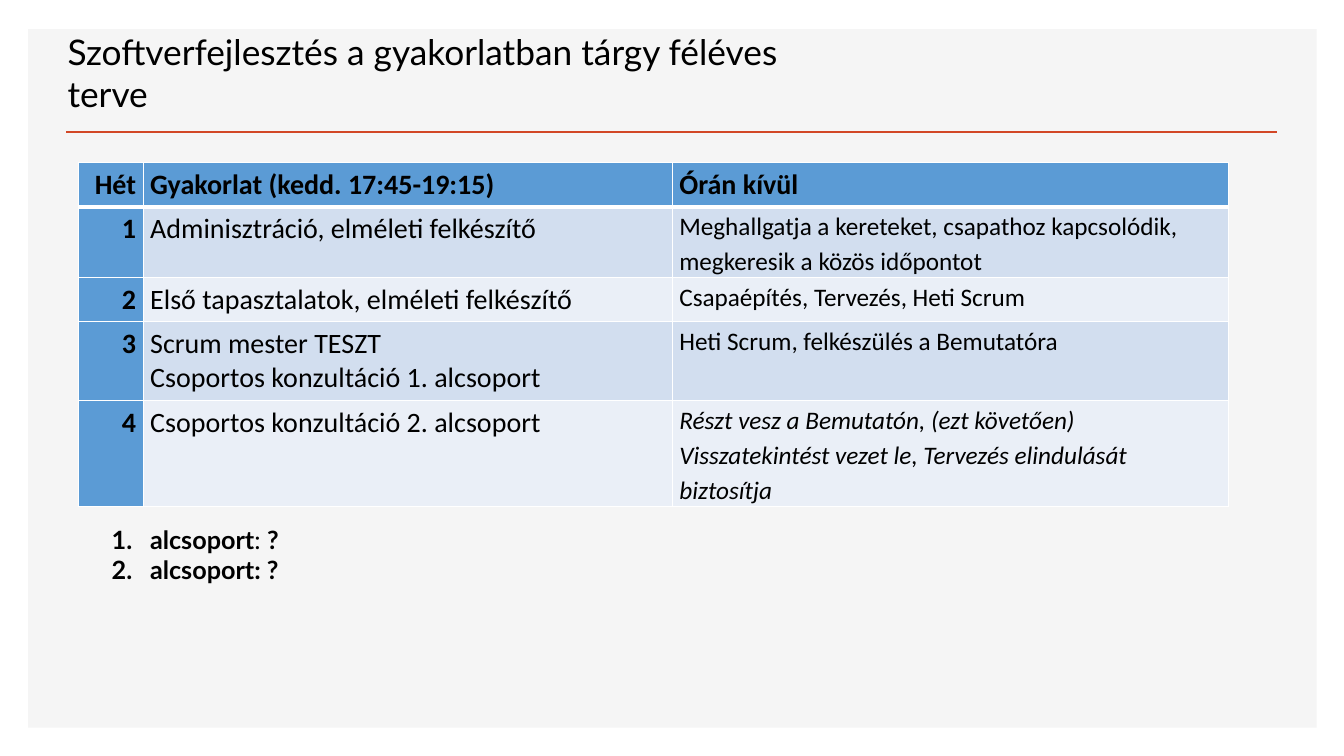
from lxml.etree import SubElement
from pptx import Presentation
from pptx.dml.color import RGBColor
from pptx.enum.shapes import MSO_CONNECTOR as Connector, MSO_SHAPE as Shape
from pptx.enum.text import MSO_ANCHOR as Anchor, MSO_AUTO_SIZE as AutoSize, PP_ALIGN as Align
from pptx.oxml.ns import qn
from pptx.util import Inches, Pt

COLORS = {
    "panel": "F5F5F5", "rule": "D24726", "text": "000000", "border": "FFFFFF",
    "header": "5B9BD5", "odd": "D2DEEF", "even": "EAEFF7",
}
GRID_COLUMNS, GRID_ROWS = 40, 30

SCHEDULE = [
    ("Hét", "Gyakorlat (kedd. 17:45-19:15)", "Órán kívül"),
    ("1", "Adminisztráció, elméleti felkészítő",
     "Meghallgatja a kereteket, csapathoz kapcsolódik, megkeresik a közös időpontot"),
    ("2", "Első tapasztalatok, elméleti felkészítő", "Csapaépítés, Tervezés, Heti Scrum"),
    ("3", "Scrum mester TESZT\nCsoportos konzultáció 1. alcsoport",
     "Heti Scrum, felkészülés a Bemutatóra"),
    ("4", "Csoportos konzultáció 2. alcsoport",
     "Részt vesz a Bemutatón, (ezt követően) Visszatekintést vezet le, "
     "Tervezés elindulását biztosítja"),
]
GROUPS = [[("alcsoport", True), (": ", False), ("?", True)], [("alcsoport: ?", True)]]


def color(name):
    return RGBColor.from_string(COLORS[name])


class SlideBuilder:
    def __init__(self, deck):
        self.deck = deck
        self.page = deck.slides.add_slide(deck.slide_layouts[5])

    def across(self, columns):
        return round(self.deck.slide_width * columns / GRID_COLUMNS)

    def down(self, rows):
        return round(self.deck.slide_height * rows / GRID_ROWS)

    def area(self, left, top, width, height):
        return self.across(left), self.down(top), self.across(width), self.down(height)

    def style(self, span, size, font, bold=False, italic=False):
        span.font.size, span.font.name = Pt(size), font
        span.font.bold, span.font.italic = bold, italic
        span.font.color.rgb = color("text")

    def panel(self, *area):
        box = self.page.shapes.add_shape(Shape.RECTANGLE, *self.area(*area))
        box.shadow.inherit = False
        box.fill.solid()
        box.fill.fore_color.rgb = color("panel")
        box.line.fill.background()

    def rule(self, left, right, top):
        line = self.page.shapes.add_connector(
            Connector.STRAIGHT, self.across(left), self.down(top),
            self.across(right), self.down(top))
        line.line.color.rgb = color("rule")
        line.line.width = Pt(2)
        SubElement(line._element.spPr, qn("a:effectLst"))

    def title(self, text, *area):
        box = self.page.shapes.title
        self.page.shapes._spTree.append(box._element)
        box.left, box.top, box.width, box.height = self.area(*area)
        frame = box.text_frame
        frame.text = text
        frame.word_wrap = True
        frame.auto_size = AutoSize.NONE
        frame.vertical_anchor = Anchor.BOTTOM
        para = frame.paragraphs[0]
        para.alignment = Align.LEFT
        self.style(para.runs[0], 25.2, "Lato")

    def borders(self, cell, header):
        properties = cell._tc.get_or_add_tcPr()
        for side in "LRTB":
            width = 3 if header and side == "B" else 1
            line = SubElement(properties, qn(f"a:ln{side}"), w=str(Pt(width)))
            fill = SubElement(line, qn("a:solidFill"))
            SubElement(fill, qn("a:srgbClr"), val=COLORS["border"])

    def cell(self, cell, text, row, column):
        header = row == 0
        detail = column == 2 and not header
        cell.text = text
        cell.margin_left = cell.margin_right = Inches(0.07)
        cell.margin_top = cell.margin_bottom = Inches(0 if detail else 0.05)
        self.borders(cell, header)
        cell.fill.solid()
        band = "header" if header or column == 0 else "odd" if row % 2 else "even"
        cell.fill.fore_color.rgb = color(band)
        for para in cell.text_frame.paragraphs:
            para.alignment = Align.RIGHT if column == 0 else Align.LEFT
            if detail:
                para.line_spacing = 1.15
            self.style(para.runs[0], 18 if detail else 20, "Calibri",
                       bold=header or column == 0,
                       italic=detail and row == len(SCHEDULE) - 1)

    def table(self, left, top, widths, heights, content):
        table = self.page.shapes.add_table(
            len(heights), len(widths),
            *self.area(left, top, sum(widths), sum(heights))).table
        table.horz_banding = False
        for column, width in zip(table.columns, widths):
            column.width = self.across(width)
        for row, height in zip(table.rows, heights):
            row.height = self.down(height)
        for row, texts in enumerate(content):
            for column, text in enumerate(texts):
                self.cell(table.cell(row, column), text, row, column)

    def numbered_list(self, items, *area):
        box = self.page.shapes.add_textbox(*self.area(*area))
        frame = box.text_frame
        frame.word_wrap = True
        frame.auto_size = AutoSize.SHAPE_TO_FIT_TEXT
        for index, item in enumerate(items):
            para = frame.add_paragraph() if index else frame.paragraphs[0]
            properties = para._p.get_or_add_pPr()
            properties.set("marL", str(Inches(0.38)))
            properties.set("indent", str(Inches(-0.38)))
            SubElement(properties, qn("a:buFont"), typeface="+mj-lt")
            SubElement(properties, qn("a:buAutoNum"), type="arabicPeriod")
            for text, bold in item:
                span = para.add_run()
                span.text = text
                self.style(span, 18, "Lato", bold)


def main():
    deck = Presentation()
    deck.slide_width, deck.slide_height = Inches(13.33), Inches(7.5)
    page = SlideBuilder(deck)
    page.panel(0.84, 1.16, 38.35, 27.72)
    page.rule(1.98, 38.02, 5.24)
    page.title("Szoftverfejlesztés a gyakorlatban tárgy féléves terve", 1.71, 1.96, 24.1, 2.8)
    page.table(2.34, 6.44, [1.92, 15.75, 16.56], [1.44, 2.12, 1.4, 1.4, 3.92], SCHEDULE)
    page.numbered_list(GROUPS, 3.03, 20.6, 36.97, 2.84)
    deck.save("out.pptx")


if __name__ == "__main__":
    main()
